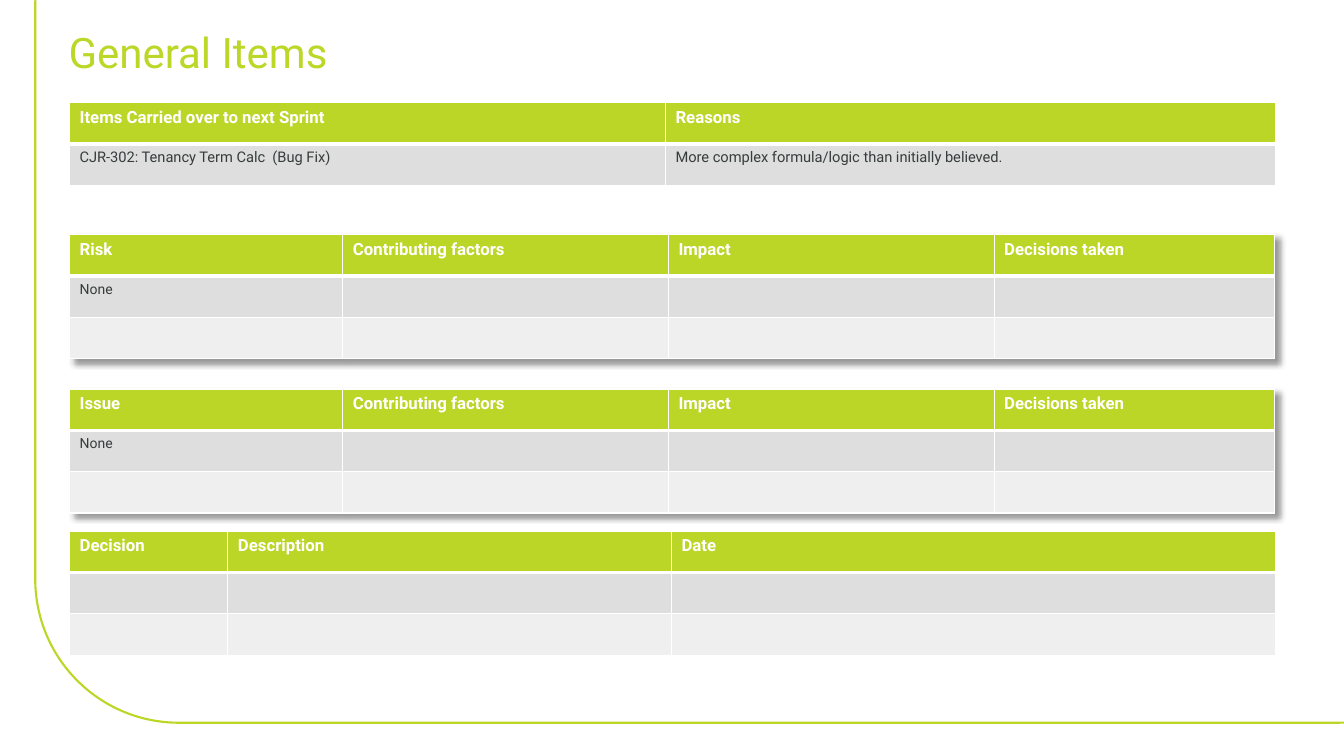
from dataclasses import dataclass

from lxml import etree
from pptx import Presentation
from pptx.dml.color import RGBColor
from pptx.enum.shapes import MSO_SHAPE
from pptx.enum.text import MSO_ANCHOR
from pptx.oxml import parse_xml
from pptx.oxml.ns import nsdecls
from pptx.slide import Slide
from pptx.table import _Cell
from pptx.text.text import TextFrame
from pptx.util import Inches, Pt

ROUNDED_RECTANGLE = MSO_SHAPE.ROUNDED_RECTANGLE
MIDDLE = MSO_ANCHOR.MIDDLE

FONT = "Roboto"
GREEN = "BBD627"
TITLE_GREEN = "BCD727"
FRAME_GREEN = "BDD626"
WHITE = "FFFFFF"
DARK = "373C3C"
BAND_FILLS = ("DEDEDE", "EFEFEF")

TABLE_LEFT = 0.69
ROW_HEIGHT = 0.41
THIN, THICK = 1, 3


@dataclass(frozen=True)
class Register:
    top: float
    widths: tuple[float, ...]
    headings: tuple[str, ...]
    rows: tuple[tuple[str, ...], ...]
    body_size: float = 10
    shadow: bool = False


def empty_row(columns: int) -> tuple[str, ...]:
    return ("",) * columns


def log_register(top: float, subject: str) -> Register:
    """Describe a shadowed four-column log with nothing to report."""
    return Register(
        top,
        (2.71, 3.23, 3.23, 2.78),
        (subject, "Contributing factors", "Impact", "Decisions taken"),
        (("None", "", "", ""), empty_row(4)),
        shadow=True,
    )


REGISTERS = (
    log_register(2.33, "Risk"),
    log_register(3.86, "Issue"),
    Register(
        1.02,
        (5.91, 6.05),
        ("Items Carried over to next Sprint", "Reasons"),
        ((
            "CJR-302: Tenancy Term Calc  (Bug Fix)",
            "More complex formula/logic than initially believed.",
        ),),
        body_size=10.5,
    ),
    Register(
        5.27,
        (1.57, 4.4, 5.99),
        ("Decision", "Description", "Date"),
        (empty_row(3), empty_row(3)),
    ),
)


def rgb(value: str) -> RGBColor:
    return RGBColor.from_string(value)


def add_text(frame: TextFrame, text: str, size: float, color: str,
             bold: bool = False) -> None:
    span = frame.paragraphs[0].add_run()
    span.text = text
    span.font.name = FONT
    span.font.size = Pt(size)
    span.font.bold = bold
    span.font.color.rgb = rgb(color)


def set_borders(cell: _Cell, top: float, bottom: float) -> None:
    properties = cell._tc.get_or_add_tcPr()
    for side, width in (("L", THIN), ("R", THIN), ("T", top), ("B", bottom)):
        properties.append(parse_xml(
            f'<a:ln{side} {nsdecls("a")} w="{Pt(width)}">'
            f'<a:solidFill><a:srgbClr val="{WHITE}"/></a:solidFill>'
            f'</a:ln{side}>'
        ))


def table_shadow() -> etree._Element:
    return parse_xml(
        f'<a:effectLst {nsdecls("a")}>'
        f'<a:outerShdw blurRad="{Pt(4)}" dist="{Pt(4)}" dir="2700000" '
        'algn="tl" rotWithShape="0"><a:srgbClr val="000000">'
        '<a:alpha val="40000"/></a:srgbClr></a:outerShdw></a:effectLst>'
    )


def add_register(slide: Slide, register: Register) -> None:
    lines = (register.headings, *register.rows)
    table = slide.shapes.add_table(
        len(lines), len(register.widths),
        Inches(TABLE_LEFT), Inches(register.top),
        Inches(sum(register.widths)), Inches(ROW_HEIGHT * len(lines)),
    ).table
    if register.shadow:
        table._tbl.tblPr.insert(0, table_shadow())
    for column, width in zip(table.columns, register.widths):
        column.width = Inches(width)
    for row_index, line in enumerate(lines):
        table.rows[row_index].height = Inches(ROW_HEIGHT)
        heading = row_index == 0
        fill = GREEN if heading else BAND_FILLS[(row_index - 1) % 2]
        size = 12 if heading else register.body_size
        for column_index, text in enumerate(line):
            cell = table.cell(row_index, column_index)
            set_borders(cell, THICK if row_index == 1 else THIN,
                        THICK if heading else THIN)
            cell.fill.solid()
            cell.fill.fore_color.rgb = rgb(fill)
            if text:
                add_text(cell.text_frame, text, size,
                         WHITE if heading else DARK, heading)


def add_frame(slide: Slide) -> None:
    """Draw the green outline whose lower-left corner curves into view."""
    outline = slide.shapes.add_shape(
        ROUNDED_RECTANGLE,
        Inches(0.35), Inches(-1.38), Inches(14.34), Inches(8.55),
    )
    outline.shadow.inherit = False
    outline.fill.background()
    outline.line.color.rgb = rgb(FRAME_GREEN)
    outline.line.width = Pt(1.5)


def add_title(slide: Slide) -> None:
    box = slide.shapes.add_textbox(
        Inches(0.68), Inches(0.2), Inches(10.87), Inches(0.63))
    frame = box.text_frame
    frame.word_wrap = True
    frame.vertical_anchor = MIDDLE
    frame.margin_left = frame.margin_right = 0
    frame.margin_top = frame.margin_bottom = 0
    add_text(frame, "General Items", 30, TITLE_GREEN)


def main() -> None:
    deck = Presentation()
    deck.slide_width = Inches(13.33)
    deck.slide_height = Inches(7.5)
    slide = deck.slides.add_slide(deck.slide_layouts[6])
    add_frame(slide)
    add_title(slide)
    for register in REGISTERS:
        add_register(slide, register)
    deck.save("out.pptx")


if __name__ == "__main__":
    main()
